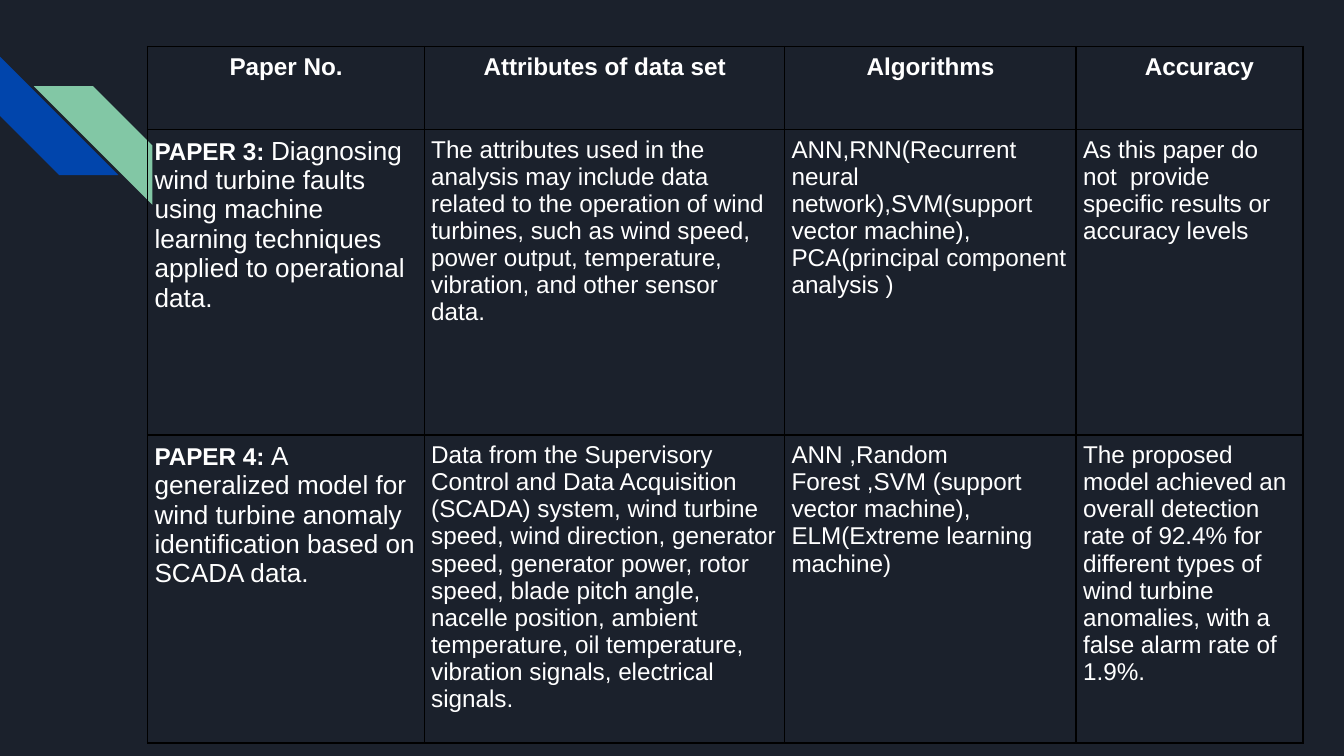
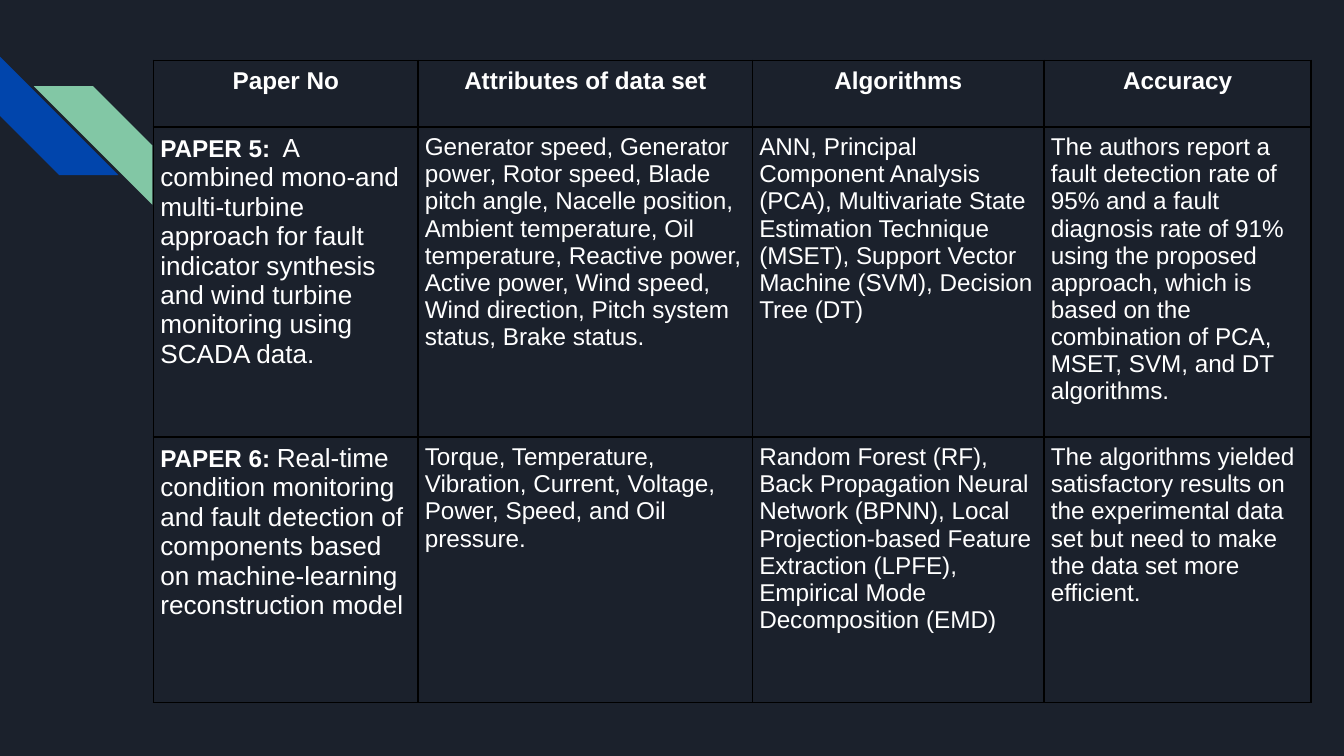
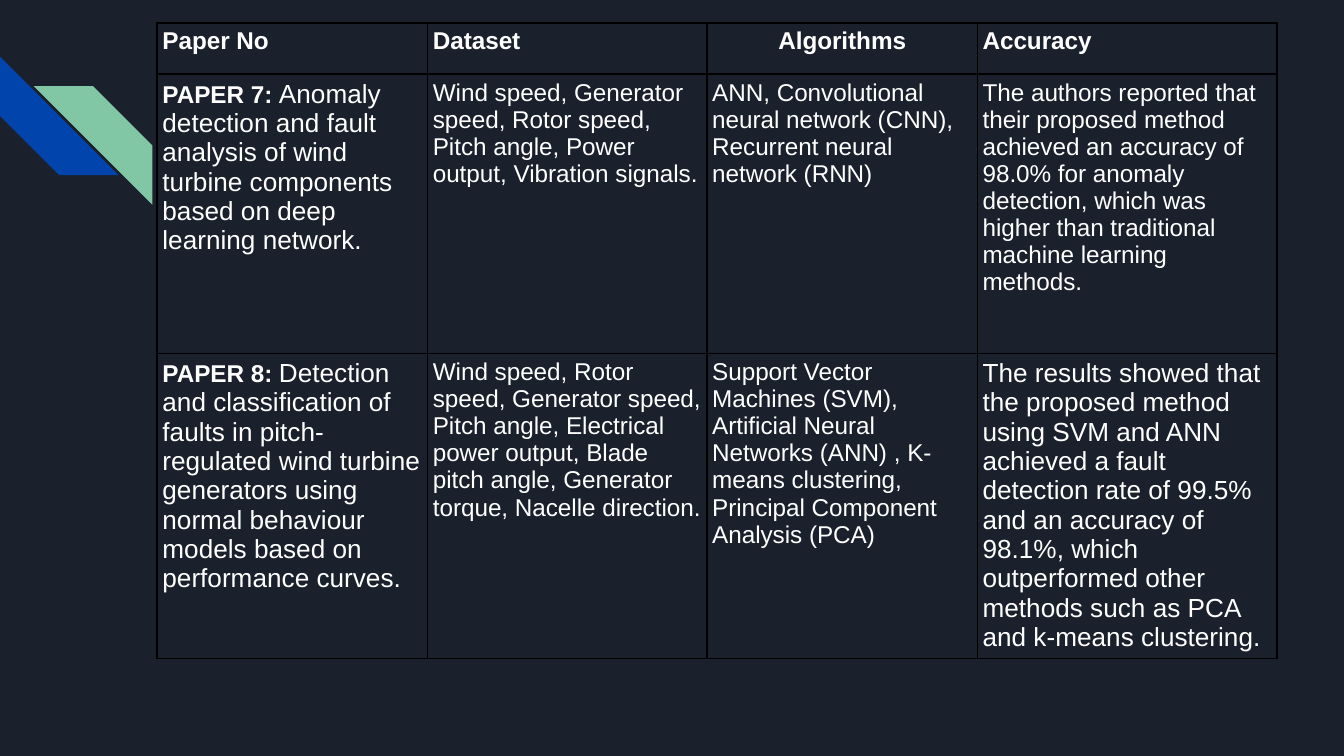
from dataclasses import dataclass

from lxml import etree
from pptx import Presentation
from pptx.dml.color import RGBColor
from pptx.enum.shapes import MSO_SHAPE as Shape
from pptx.enum.text import PP_ALIGN as Align
from pptx.oxml.ns import qn
from pptx.util import Cm, Pt

COLORS = {
    "background": "1B212C",
    "blue": "0145AC",
    "green": "82C7A5",
    "text": "FFFFFF",
    "border": "000000",
}
FONT = "Arial"
BODY_SIZE = 13
LARGE_SIZE = 14
BLANK_LAYOUT = 6


@dataclass
class PaperTable:
    """Lengths are in centimetres; each paper is (label, title, further cells)."""
    left: float
    top: float
    widths: list
    heights: list
    inset: float
    headings: list
    papers: list
    left_aligned: tuple = ()
    accuracy_shift: float = 0
    large_cells: tuple = ()


TABLES = [
    PaperTable(
        left=2.79, top=0.88, inset=0.13,
        widths=[5.23, 6.81, 5.51, 4.29], heights=[1.57, 5.77, 5.82],
        headings=["Paper No.", "Attributes of data set", "Algorithms", "Accuracy"],
        accuracy_shift=0.36,
        papers=[
            ("PAPER 3: ",
             "Diagnosing wind turbine faults using machine learning techniques "
             "applied to operational data.",
             ["The attributes used in the analysis may include data related to the "
              "operation of wind turbines, such as wind speed, power output, "
              "temperature, vibration, and other sensor data.",
              "ANN,RNN(Recurrent neural network),SVM(support vector machine), "
              "PCA(principal component analysis )",
              "As this paper do not  provide specific results or accuracy levels"]),
            ("PAPER 4: ",
             "A generalized model for wind turbine anomaly identification based on "
             "SCADA data.",
             ["Data from the Supervisory Control and Data Acquisition (SCADA) system, "
              "wind turbine speed, wind direction, generator speed, generator power, "
              "rotor speed, blade pitch angle, nacelle position, ambient temperature, "
              "oil temperature, vibration signals, electrical signals.",
              "ANN ,Random Forest ,SVM (support vector machine), "
              "ELM(Extreme learning machine)",
              "The proposed model achieved an overall detection rate of 92.4% for "
              "different types of wind turbine anomalies, with a false alarm rate "
              "of 1.9%."]),
        ],
    ),
    PaperTable(
        left=2.9, top=1.14, inset=0.13,
        widths=[5, 6.32, 5.51, 5.05], heights=[1.26, 5.86, 5.02],
        headings=["Paper No", "Attributes of data set", "Algorithms", "Accuracy"],
        papers=[
            ("PAPER 5: ",
             " A combined mono-and multi-turbine approach for fault indicator "
             "synthesis and wind turbine monitoring using SCADA data.",
             ["Generator speed, Generator power, Rotor speed, Blade pitch angle, "
              "Nacelle position, Ambient temperature, Oil temperature, Reactive power, "
              "Active power, Wind speed, Wind direction, Pitch system status, "
              "Brake status.",
              "ANN, Principal Component Analysis (PCA), Multivariate State Estimation "
              "Technique (MSET), Support Vector Machine (SVM), Decision Tree (DT)",
              "The authors report a fault detection rate of 95% and a fault diagnosis "
              "rate of 91% using the proposed approach, which is based on the "
              "combination of PCA, MSET, SVM, and DT algorithms."]),
            ("PAPER 6: ",
             "Real-time condition monitoring and fault detection of components based "
             "on machine-learning reconstruction model",
             ["Torque, Temperature, Vibration, Current, Voltage, Power, Speed, and "
              "Oil pressure.",
              "Random Forest (RF), Back Propagation Neural Network (BPNN), Local "
              "Projection-based Feature Extraction (LPFE), Empirical Mode "
              "Decomposition (EMD)",
              "The algorithms yielded satisfactory results on the experimental data "
              "set but need to make the data set more efficient."]),
        ],
    ),
    PaperTable(
        left=2.97, top=0.43, inset=0.1,
        widths=[5.11, 5.28, 5.11, 5.66], heights=[0.97, 5.28, 5.77],
        headings=["Paper No", "Dataset", "Algorithms", "Accuracy"],
        left_aligned=("Paper No", "Dataset", "Accuracy"),
        large_cells=((2, 3),),
        papers=[
            ("PAPER 7: ",
             "Anomaly detection and fault analysis of wind turbine components based "
             "on deep learning network.",
             ["Wind speed, Generator speed, Rotor speed, Pitch angle, Power output, "
              "Vibration signals.",
              "ANN, Convolutional neural network (CNN), Recurrent neural network (RNN)",
              "The authors reported that their proposed method achieved an accuracy "
              "of 98.0% for anomaly detection, which was higher than traditional "
              "machine learning methods."]),
            ("PAPER 8: ",
             "Detection and classification of faults in pitch-regulated wind turbine "
             "generators using normal behaviour models based on performance curves.",
             ["Wind speed, Rotor speed, Generator speed, Pitch angle, Electrical power "
              "output, Blade pitch angle, Generator torque, Nacelle direction.",
              "Support Vector Machines (SVM), Artificial Neural Networks (ANN) , "
              "K-means clustering, Principal Component Analysis (PCA)",
              "The results showed that the proposed method using SVM and ANN achieved "
              "a fault detection rate of 99.5% and an accuracy of 98.1%, which "
              "outperformed other methods such as PCA and k-means clustering."]),
        ],
    ),
]


def color(name):
    return RGBColor.from_string(COLORS[name])


def style_font(font, size=BODY_SIZE, bold=False):
    font.name = FONT
    font.size = Pt(size)
    font.bold = bold
    font.color.rgb = color("text")


def add_stripes(slide, left, top, size):
    """Two parallel diagonal stripes; the green one is offset from the blue one."""
    stripes = [("blue", 0, 0, 270), ("green", 0.64, 0.56, 90)]
    for name, across, down, rotation in stripes:
        stripe = slide.shapes.add_shape(
            Shape.DIAGONAL_STRIPE, Cm(left + across), Cm(top + down), Cm(size), Cm(size))
        stripe.rotation = rotation
        stripe.shadow.inherit = False
        stripe.fill.solid()
        stripe.fill.fore_color.rgb = color(name)
        stripe.line.fill.background()


def add_borders(cell):
    properties = cell._tc.get_or_add_tcPr()
    for index, side in enumerate(("a:lnL", "a:lnR", "a:lnT", "a:lnB")):
        line = etree.Element(qn(side), w=str(Pt(1)))
        fill = etree.SubElement(line, qn("a:solidFill"))
        etree.SubElement(fill, qn("a:srgbClr"), val=COLORS["border"])
        properties.insert(index, line)


def prepare_cell(cell, inset):
    cell.fill.background()
    add_borders(cell)
    cell.margin_left = cell.margin_right = Cm(inset)
    cell.margin_top = cell.margin_bottom = Cm(inset)


def fill_heading(cell, heading, content):
    paragraph = cell.text_frame.paragraphs[0]
    paragraph.text = heading
    style_font(paragraph.font, bold=True)
    paragraph.alignment = Align.LEFT if heading in content.left_aligned else Align.CENTER
    if heading == "Accuracy":
        cell.margin_left = Cm(content.inset + content.accuracy_shift)


def fill_paper(cell, label, title):
    paragraph = cell.text_frame.paragraphs[0]
    for text, size, bold in ((label, BODY_SIZE, True), (title, LARGE_SIZE, False)):
        run = paragraph.add_run()
        run.text = text
        style_font(run.font, size, bold)


def add_paper_table(slide, content):
    frame = slide.shapes.add_table(
        len(content.heights), len(content.widths), Cm(content.left), Cm(content.top),
        Cm(sum(content.widths)), Cm(sum(content.heights)))
    table = frame.table
    table.first_row = table.horz_banding = False
    for column, width in zip(table.columns, content.widths):
        column.width = Cm(width)
    for row, height in zip(table.rows, content.heights):
        row.height = Cm(height)
    for cell in table.iter_cells():
        prepare_cell(cell, content.inset)

    for column, heading in enumerate(content.headings):
        fill_heading(table.cell(0, column), heading, content)
    for row, (label, title, details) in enumerate(content.papers, start=1):
        fill_paper(table.cell(row, 0), label, title)
        for column, detail in enumerate(details, start=1):
            paragraph = table.cell(row, column).text_frame.paragraphs[0]
            paragraph.text = detail
            large = (row, column) in content.large_cells
            style_font(paragraph.font, LARGE_SIZE if large else BODY_SIZE)


def main():
    presentation = Presentation()
    presentation.slide_width = Cm(25.4)
    presentation.slide_height = Cm(14.29)
    background = presentation.slide_master.background.fill
    background.solid()
    background.fore_color.rgb = color("background")
    for content in TABLES:
        slide = presentation.slides.add_slide(presentation.slide_layouts[BLANK_LAYOUT])
        add_stripes(slide, left=0, top=1.07, size=2.24)
        add_paper_table(slide, content)
    presentation.save("out.pptx")


if __name__ == "__main__":
    main()
